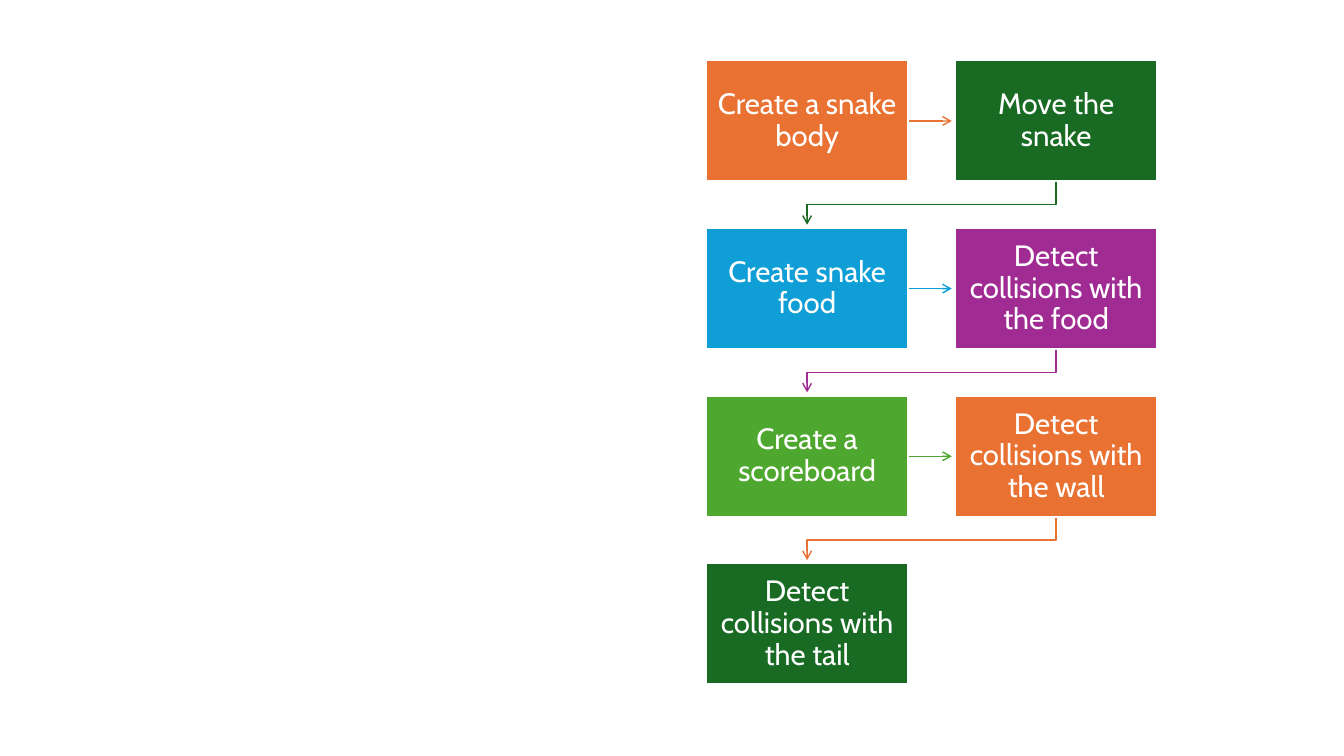
from pptx import Presentation
from pptx.dml.color import RGBColor
from pptx.enum import shapes, text
from pptx.oxml import ns
from pptx.oxml.xmlchemy import OxmlElement
from pptx.util import Inches, Pt

COLORS = {
    "orange": "E97132",
    "dark_green": "196B24",
    "blue": "0F9ED5",
    "purple": "A02B93",
    "green": "4EA72E",
    "white": "FFFFFF",
}
STEPS = [
    ("Create a snake body", "orange"),
    ("Move the snake", "dark_green"),
    ("Create snake food", "blue"),
    ("Detect collisions with the food", "purple"),
    ("Create a scoreboard", "green"),
    ("Detect collisions with the wall", "orange"),
    ("Detect collisions with the tail", "dark_green"),
]
COLUMNS = 2
LEFT, TOP = 7, 0.6
BOX_WIDTH, BOX_HEIGHT = 2.01, 1.2
COLUMN_STEP, ROW_STEP = 2.47, (5.59 - TOP) / 3
ARROW_LENGTH, BEND_DEPTH = 0.43, 0.23

FRAME_FORMAT = {
    "word_wrap": True,
    "vertical_anchor": text.MSO_ANCHOR.MIDDLE,
    "margin_left": Inches(0.1),
    "margin_right": Inches(0.1),
    "margin_top": Inches(0.1),
    "margin_bottom": Inches(0.1),
}
PARAGRAPH_FORMAT = {"alignment": text.PP_ALIGN.CENTER, "line_spacing": 0.9}
FONT_FORMAT = {"name": "Cabin", "size": Pt(21)}


def color(name):
    return RGBColor.from_string(COLORS[name])


def apply_format(target, values):
    for name, value in values.items():
        setattr(target, name, value)


def box_position(index):
    row, column = divmod(index, COLUMNS)
    return LEFT + column * COLUMN_STEP, TOP + row * ROW_STEP


def style_arrow(shape, color_name):
    """Give a line its colour and an open arrowhead, without a shadow."""
    shape.line.color.rgb = color(color_name)
    shape.line.width = Pt(1)
    properties = shape.element.spPr
    head = OxmlElement("a:tailEnd")
    head.set("type", "arrow")
    properties.find(ns.qn("a:ln")).append(head)
    properties.append(OxmlElement("a:effectLst"))


def add_side_arrow(slide, x, y, color_name):
    """Point from the right edge of the box at x, y to its neighbour."""
    start, middle = x + BOX_WIDTH, y + BOX_HEIGHT / 2
    arrow = slide.shapes.add_connector(
        shapes.MSO_CONNECTOR.STRAIGHT,
        Inches(start), Inches(middle),
        Inches(start + ARROW_LENGTH), Inches(middle),
    )
    style_arrow(arrow, color_name)


def add_return_arrow(slide, x, y, color_name):
    """Lead from below the box at x, y to the first box of the next row."""
    start, bottom = x + BOX_WIDTH / 2, y + BOX_HEIGHT
    end = LEFT + BOX_WIDTH / 2
    bend = bottom + BEND_DEPTH
    points = [(start, bend), (end, bend), (end, bottom + ARROW_LENGTH)]
    builder = slide.shapes.build_freeform(Inches(start), Inches(bottom))
    builder.add_line_segments(
        [(Inches(px), Inches(py)) for px, py in points], close=False
    )
    arrow = builder.convert_to_shape()
    arrow.fill.background()
    style_arrow(arrow, color_name)


def add_step_box(slide, x, y, label, color_name):
    box = slide.shapes.add_shape(
        shapes.MSO_SHAPE.RECTANGLE,
        Inches(x), Inches(y), Inches(BOX_WIDTH), Inches(BOX_HEIGHT),
    )
    box.shadow.inherit = False
    box.fill.solid()
    box.fill.fore_color.rgb = color(color_name)
    box.line.color.rgb = color("white")
    box.line.width = Pt(1.5)
    apply_format(box.text_frame, FRAME_FORMAT)
    paragraph = box.text_frame.paragraphs[0]
    apply_format(paragraph, PARAGRAPH_FORMAT)
    run = paragraph.add_run()
    run.text = label
    apply_format(run.font, FONT_FORMAT)
    run.font.color.rgb = color("white")


def main():
    presentation = Presentation()
    presentation.slide_width = Inches(13.33)
    presentation.slide_height = Inches(7.5)
    slide = presentation.slides.add_slide(presentation.slide_layouts[6])

    for index, (label, color_name) in enumerate(STEPS):
        x, y = box_position(index)
        if index < len(STEPS) - 1:
            ends_row = index % COLUMNS == COLUMNS - 1
            add_arrow = add_return_arrow if ends_row else add_side_arrow
            add_arrow(slide, x, y, color_name)
        add_step_box(slide, x, y, label, color_name)

    presentation.save("out.pptx")


if __name__ == "__main__":
    main()
